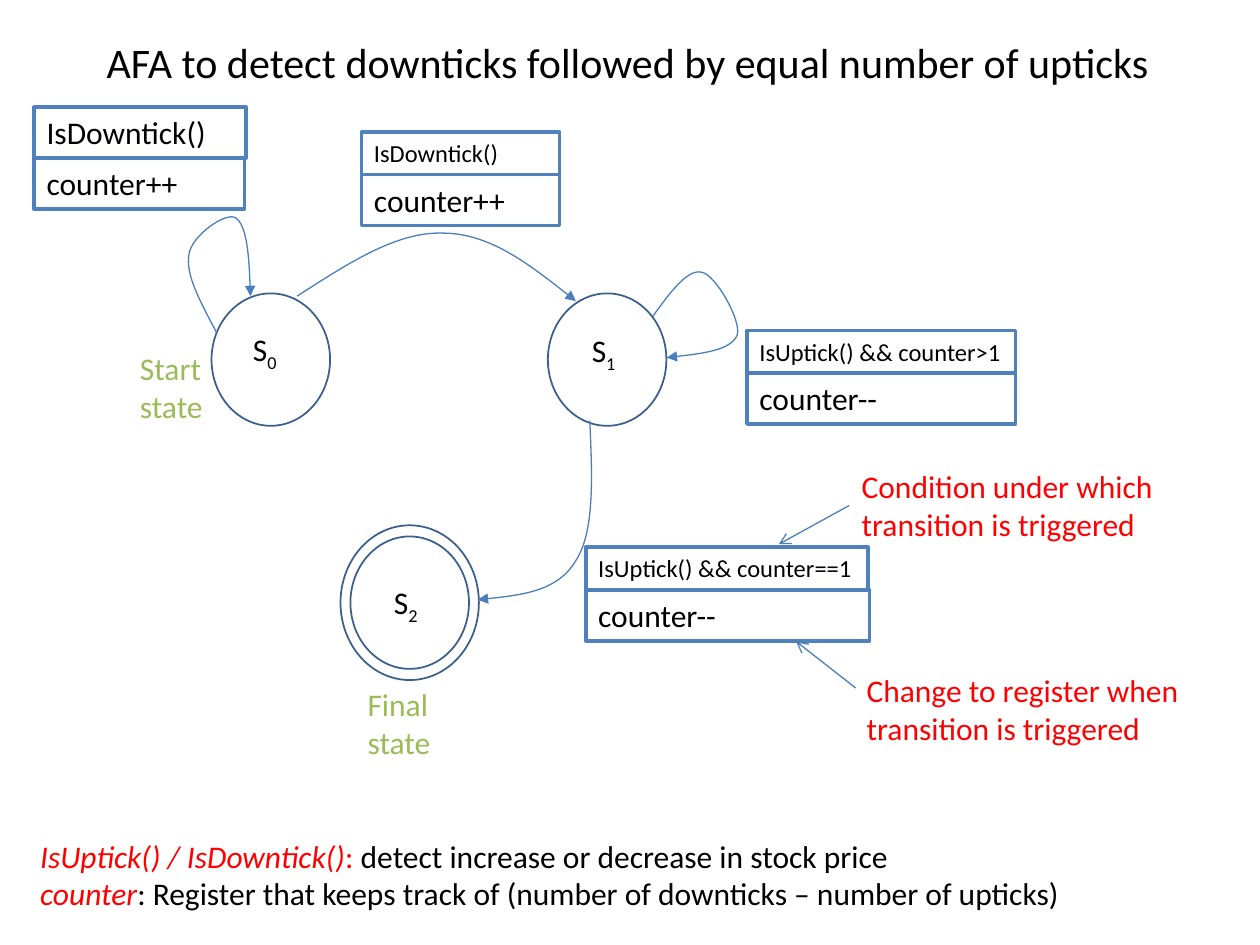
from dataclasses import dataclass

from lxml import etree
from pptx import Presentation
from pptx import util as u
from pptx.dml.color import RGBColor
from pptx.enum import shapes, text
from pptx.oxml import ns

Cm, Pt = u.Cm, u.Pt


@dataclass(frozen=True)
class Theme:
    font: str = "Calibri"
    ink: str = "000000"
    paper: str = "FFFFFF"
    accent: str = "FF0000"
    caption: str = "9BBB59"
    rule_border: str = "4F81BD"
    state_line: str = "3A5F8C"
    arrow: str = "4B7EBC"
    title_size: int = 24
    body_size: int = 18
    small_size: int = 14


THEME = Theme()


# Shared helpers
def style_line(item, color, width):
    item.line.color.rgb = RGBColor.from_string(color)
    item.line.width = Pt(width)


def style_run(run, color, size=THEME.body_size):
    run.font.name = THEME.font
    run.font.size = Pt(size)
    run.font.color.rgb = RGBColor.from_string(color)


def write(item, wording, color=THEME.ink, size=THEME.body_size, wrap=True):
    frame = item.text_frame
    frame.text = wording
    frame.word_wrap = wrap
    frame.vertical_anchor = text.MSO_ANCHOR.TOP
    frame.auto_size = text.MSO_AUTO_SIZE.SHAPE_TO_FIT_TEXT
    for paragraph in frame.paragraphs:
        paragraph.alignment = text.PP_ALIGN.LEFT
        for run in paragraph.runs:
            style_run(run, color, size)


def add_label(slide, box, wording, color=THEME.ink, size=THEME.body_size, wrap=False):
    label = slide.shapes.add_textbox(*map(Cm, box))
    write(label, wording, color, size, wrap)
    return label


def add_panel(slide, kind, box, fill=None, line=None, width=1):
    panel = slide.shapes.add_shape(kind, *map(Cm, box))
    panel.shadow.inherit = False
    if fill:
        panel.fill.solid()
        panel.fill.fore_color.rgb = RGBColor.from_string(fill)
    else:
        panel.fill.background()
    if line:
        style_line(panel, line, width)
    else:
        panel.line.fill.background()
    return panel


def add_arrowhead(item, head):
    style_line(item, THEME.arrow, 0.75)
    etree.SubElement(item.line._get_or_add_ln(), ns.qn("a:tailEnd"), type=head)


def add_curve(slide, origin, points):
    """Draw a chain of cubic curves: a start, then three points per curve."""
    placed = [(Cm(origin[0] + x), Cm(origin[1] + y)) for x, y in points]
    builder = slide.shapes.build_freeform(*placed[0])
    builder.add_line_segments(placed[1:], close=False)
    curve = builder.convert_to_shape()
    curve.shadow.inherit = False
    curve.fill.background()
    outline = curve._element.find(".//" + ns.qn("a:path"))
    segments = outline.findall(ns.qn("a:lnTo"))
    for first in range(0, len(segments), 3):
        bezier = etree.SubElement(outline, ns.qn("a:cubicBezTo"))
        for segment in segments[first:first + 3]:
            bezier.append(segment[0])
            outline.remove(segment)
    add_arrowhead(curve, "triangle")


# Regions
def title(slide, box):
    add_label(slide, box, "AFA to detect downticks followed by equal number of upticks",
              size=THEME.title_size)


def automaton(slide, box):
    left, top = box[:2]

    # Captions of the start and final states
    for x, y, wording in ((4.66, 9.69, "Final state"), (0.07, 2.91, "Start state")):
        caption = add_panel(slide, shapes.MSO_SHAPE.RECTANGLE,
                            (left + x, top + y, 2.29, 1.8), THEME.paper)
        write(caption, wording, THEME.caption)

    # State circles; the final state has a second ring
    circle, ring = (2.39, 2.67), (2.79, 3.12)
    centres = ((2.96, 3.25), (9.74, 3.25), (5.76, 8.15))
    for (x, y), (w, h) in [(centre, circle) for centre in centres] + [(centres[2], ring)]:
        add_panel(slide, shapes.MSO_SHAPE.OVAL,
                  (left + x - w / 2, top + y - h / 2, w, h), line=THEME.state_line)

    # Transitions
    s0_to_s1 = ((3.49, 1.97), (4.49, 1.33), (5.48, 0.67), (6.42, 0.7),
                (7.36, 0.7), (8.24, 1.38), (9.11, 2.07))
    s0_loop = ((1.87, 2.71), (1.56, 2.12), (1.23, 1.54), (1.31, 1.13), (1.36, 0.75),
               (2.05, 0.27), (2.25, 0.39), (2.48, 0.55), (2.53, 1.26), (2.55, 1.97))
    s1_loop = ((10.66, 2.38), (11.01, 1.89), (11.37, 1.41), (11.65, 1.49), (11.93, 1.54),
               (12.46, 2.48), (12.36, 2.76), (12.23, 3.06), (11.57, 3.14), (10.94, 3.21))
    s1_to_s2 = ((9.39, 4.48), (9.44, 5.6), (9.49, 6.72), (9.11, 7.3),
                (8.75, 7.91), (7.94, 8.01), (7.13, 8.09))
    for transition in (s0_to_s1, s0_loop, s1_loop, s1_to_s2):
        add_curve(slide, (left, top), transition)

    # State names, nudged from the circle centres
    side = 1.02
    nudges = ((-0.1, -0.21), (-0.05, -0.19), (-0.06, -0.01))
    for index, ((x, y), (dx, dy)) in enumerate(zip(centres, nudges)):
        name = add_label(slide, (left + x + dx - side / 2, top + y + dy - side / 2, side, side),
                         "S")
        subscript = name.text_frame.paragraphs[0].add_run()
        subscript.text = str(index)
        style_run(subscript, THEME.ink)
        subscript.font._element.set("baseline", "-25000")


def transition_rule(slide, box, condition, action, size=THEME.small_size, action_width=None):
    """Stack the condition of a transition over its register change."""
    left, top, width, height = box
    action_height = 1.03
    condition_height = height - action_height
    rows = ((top, width, condition_height, condition, size),
            (top + condition_height, action_width or width, action_height, action,
             THEME.body_size))
    for y, w, h, wording, row_size in rows:
        row = add_panel(slide, shapes.MSO_SHAPE.RECTANGLE, (left, y, w, h),
                        THEME.paper, THEME.rule_border, 2)
        write(row, wording, size=row_size)


def annotation(slide, box, wording, start, end):
    """Place a remark and its pointer; start and end are relative to the box."""
    left, top = box[:2]
    pointer = slide.shapes.add_connector(
        shapes.MSO_CONNECTOR.STRAIGHT,
        *(Cm(v) for x, y in (start, end) for v in (left + x, top + y)))
    add_arrowhead(pointer, "arrow")
    etree.SubElement(pointer._element.spPr, ns.qn("a:effectLst"))
    add_label(slide, box, wording, THEME.accent)


def legend(slide, box):
    lines = (
        (("IsUptick() / IsDowntick()", THEME.accent, True), (": ", THEME.accent, False),
         ("detect increase or decrease in stock price", THEME.ink, False)),
        (("counter", THEME.accent, True),
         (": Register that keeps track of (number of downticks – number of upticks)",
          THEME.ink, False)),
    )
    frame = add_label(slide, box, "\n" * (len(lines) - 1), wrap=True).text_frame
    for paragraph, parts in zip(frame.paragraphs, lines):
        for wording, color, italic in parts:
            run = paragraph.add_run()
            run.text = wording
            style_run(run, color)
            run.font.italic = italic


def main():
    deck = Presentation()
    deck.slide_width, deck.slide_height = Cm(25.4), Cm(19.05)
    slide = deck.slides.add_slide(deck.slide_layouts[6])

    automaton(slide, (2.5, 4, 13, 11.5))
    transition_rule(slide, (0.69, 2.16, 4.27, 2.06), "IsDowntick()", "counter++",
                    THEME.body_size, 4.24)
    transition_rule(slide, (7.29, 2.66, 3.99, 1.89), "IsDowntick()", "counter++")
    transition_rule(slide, (15.06, 6.66, 5.41, 1.89), "IsUptick() && counter>1", "counter--")
    transition_rule(slide, (11.81, 11.03, 5.69, 1.89), "IsUptick() && counter==1",
                    "counter--", action_width=5.72)
    legend(slide, (0.56, 16.74, 21.67, 1.8))
    annotation(slide, (17.12, 9.3, 6.45, 1.8),
               "Condition under which\vtransition is triggered", (0, 0.89), (-1.42, 1.67))
    annotation(slide, (17.22, 13.41, 6.88, 1.8),
               "Change to register when\vtransition is triggered", (0.03, 0.46), (-1.17, -0.48))
    title(slide, (1.9, 0.61, 21.72, 1.28))
    deck.save("out.pptx")


if __name__ == "__main__":
    main()
